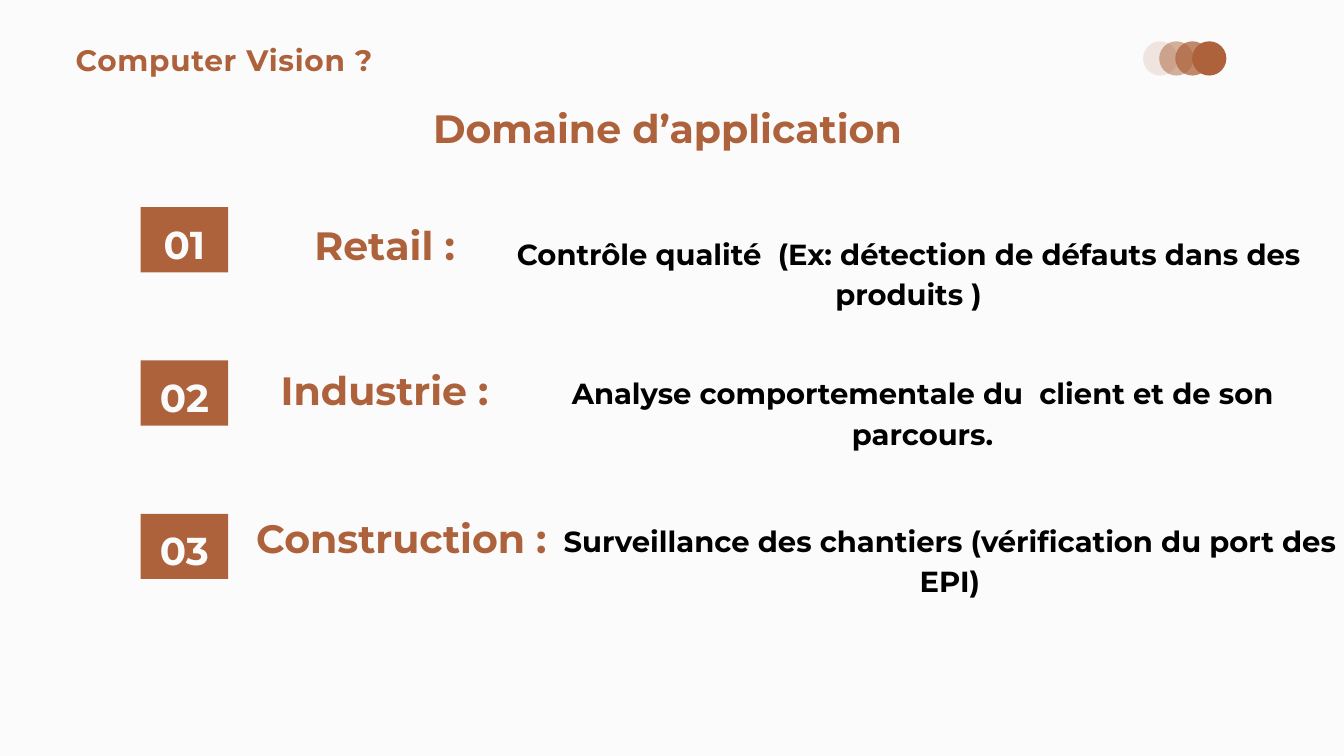
from lxml.etree import SubElement
from pptx import Presentation
from pptx.dml.color import RGBColor
from pptx.enum.shapes import MSO_SHAPE
from pptx.enum.text import MSO_ANCHOR, MSO_AUTO_SIZE, PP_ALIGN
from pptx.oxml.ns import qn
from pptx.util import Pt

PX = 9525  # EMU, 96 px to the inch
FONT = "Montserrat"
RUST, PAPER, BLACK = "AD623C", "FBFBFC", "000000"

# Each text: wording, then (left, top, width, height) relative to its row
ROWS = [
    ("Retail :", (155, 26, 387, 60),
     "Contrôle qualité  (Ex: détection de défauts dans des produits )", (499, 33, 1196, 116)),
    ("Industrie :", (155, 15, 387, 60),
     "Analyse comportementale du  client et de son parcours.", (544, 13, 1146, 116)),
    ("Construction :", (155, 7, 435, 60),
     "Surveillance des chantiers (vérification du port des EPI)", (593, 5, 1126, 116)),
]


def px(*values):
    return [v * PX for v in values]


def rgb(color):
    return RGBColor.from_string(color)


def write(sp, text, size, line, color, align=PP_ALIGN.CENTER, anchor=MSO_ANCHOR.TOP):
    tf = sp.text_frame
    tf.text = text
    tf.word_wrap = True
    tf.auto_size = MSO_AUTO_SIZE.NONE
    tf.vertical_anchor = anchor
    tf.margin_left = tf.margin_top = tf.margin_right = tf.margin_bottom = 0
    p = tf.paragraphs[0]
    p.alignment = align
    p.line_spacing = Pt(line)
    p.space_before = Pt(0)
    font = p.runs[0].font
    font.name, font.size, font.bold = FONT, Pt(size), True
    font.color.rgb = rgb(color)
    return p.runs[0]


def add_filled(slide, kind, box, color):
    sp = slide.shapes.add_shape(kind, *px(*box))
    sp.shadow.inherit = False
    sp.fill.solid()
    sp.fill.fore_color.rgb = rgb(color)
    sp.line.fill.background()
    return sp


def add_text(slide, box, *args, **kwargs):
    return write(slide.shapes.add_textbox(*px(*box)), *args, **kwargs)


def add_dots(slide, left, top, size):
    """Overlapping circles that grow more opaque to the right."""
    for i, opacity in enumerate((15, 50, 75, 100)):
        dot = add_filled(slide, MSO_SHAPE.OVAL, (left + i * 70 // 3, top, size, size), RUST)
        if opacity < 100:
            clr = dot.fill._xPr.find(".//" + qn("a:srgbClr"))
            SubElement(clr, qn("a:alpha"), val=str(opacity * 1000))


def add_heading(slide, left, top):
    run = add_text(slide, (left, top, 436, 60), "Computer Vision ?", 31.7, 44.3, RUST,
                   align=PP_ALIGN.LEFT)
    run.font._element.set("spc", "80")


def set_title(slide, left, top, width, height):
    title = slide.shapes.title
    title.left, title.top, title.width, title.height = px(left, top, width, height)
    write(title, "Domaine d’application", 42.3, 45.7, RUST)


def add_row(slide, left, top, number, label, label_box, detail, detail_box):
    def place(box):
        x, y, w, h = box
        return left + x, top + y, w, h

    badge = add_filled(slide, MSO_SHAPE.RECTANGLE, (left, top, 125, 93), RUST)
    write(badge, f"{number:02}", 41.6, 58.2, PAPER, anchor=MSO_ANCHOR.MIDDLE)
    add_text(slide, place(label_box), label, 42.3, 45.7, RUST)
    add_text(slide, place(detail_box), detail, 31.1, 43.5, BLACK)


def main():
    prs = Presentation()
    prs.slide_width, prs.slide_height = px(1920, 1080)
    slide = prs.slides.add_slide(prs.slide_layouts[5])
    slide.background.fill.solid()
    slide.background.fill.fore_color.rgb = rgb(PAPER)

    add_dots(slide, 1633, 59, 49)
    add_heading(slide, 108, 51)
    set_title(slide, 582, 155, 743, 60)
    for i, row in enumerate(ROWS):
        add_row(slide, 201, 296 + 219 * i, i + 1, *row)

    prs.save("out.pptx")


if __name__ == "__main__":
    main()
